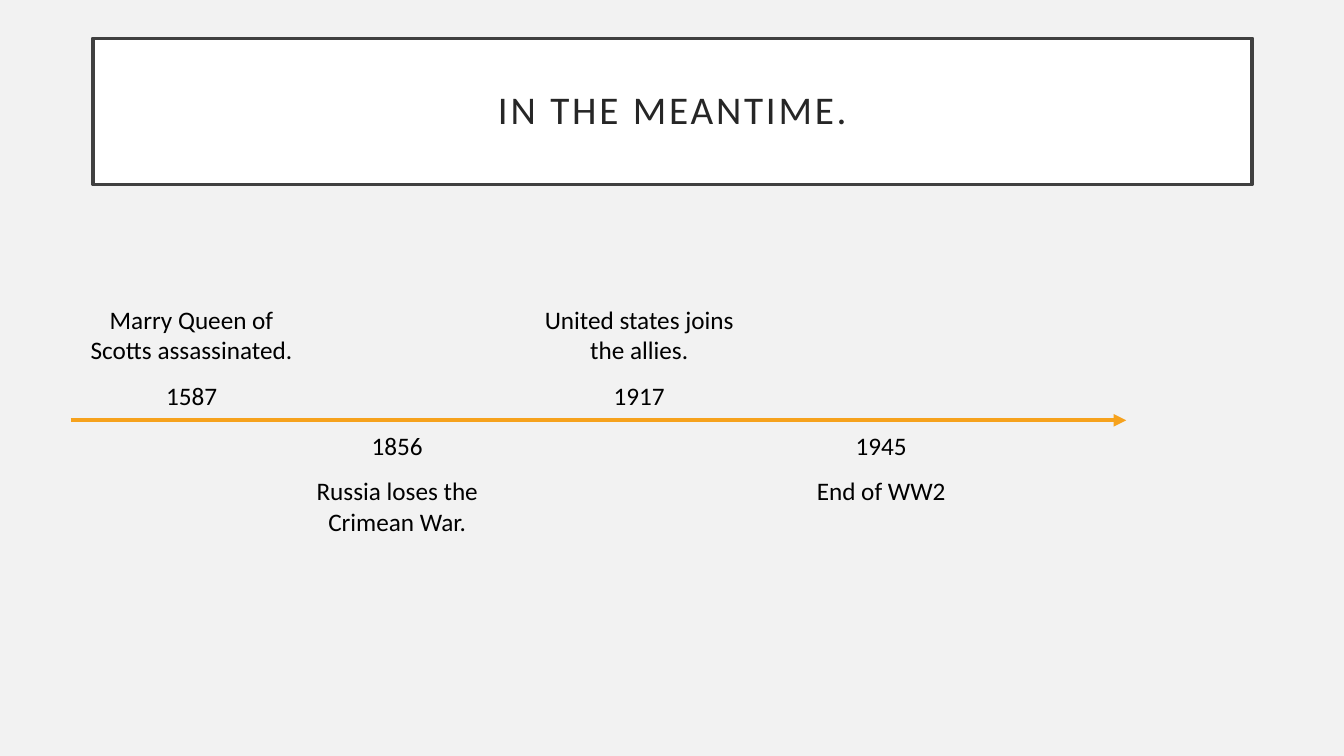
from dataclasses import dataclass
from pptx import Presentation
from pptx.dml.color import RGBColor as Color
from pptx.enum.shapes import MSO_CONNECTOR as Connector
from pptx.enum.text import MSO_ANCHOR as Anchor, MSO_AUTO_SIZE as AutoSize, PP_ALIGN as Align
from pptx.oxml.ns import qn
from pptx.util import Pt
from lxml.etree import SubElement


@dataclass(frozen=True)
class Theme:
    font: str = "Calibri"
    backdrop: Color = Color.from_string("F2F2F2")
    panel: Color = Color.from_string("FFFFFF")
    frame: Color = Color.from_string("404040")
    heading: Color = Color.from_string("262626")
    ink: Color = Color.from_string("000000")
    accent: Color = Color.from_string("F6A21D")
    title_size: int = 28
    body_size: int = 18


theme = Theme()
PX = 9144


def write(box, text, size=theme.body_size, color=theme.ink, anchor=Anchor.TOP,
          autosize=AutoSize.SHAPE_TO_FIT_TEXT, line_spacing=None, tracking=None, inset=None):
    frame = box.text_frame
    frame.word_wrap = True
    frame.auto_size = autosize
    frame.vertical_anchor = anchor
    if inset is not None:
        frame.margin_left = frame.margin_right = inset * PX
        frame.margin_top = frame.margin_bottom = inset * PX
    para = frame.paragraphs[0]
    para.alignment = Align.CENTER
    para.line_spacing = line_spacing
    span = para.add_run()
    span.text = text
    span.font.name = theme.font
    span.font.size = Pt(size)
    span.font.color.rgb = color
    if tracking:
        span.font._element.set("spc", str(tracking * 100))


deck = Presentation()
deck.slide_width, deck.slide_height = 1333 * PX, 750 * PX
page = deck.slides.add_slide(deck.slide_layouts[5])
page.background.fill.solid()
page.background.fill.fore_color.rgb = theme.backdrop

title = page.shapes.title
title.left, title.top, title.width, title.height = 92 * PX, 38 * PX, 1150 * PX, 145 * PX
title.fill.solid()
title.fill.fore_color.rgb = theme.panel
title.line.color.rgb = theme.frame
title.line.width = Pt(2.5)
write(title, "IN THE MEANTIME.", size=theme.title_size, color=theme.heading, anchor=Anchor.MIDDLE,
      autosize=AutoSize.NONE, line_spacing=0.9, tracking=2, inset=20)

axis = page.shapes.add_connector(Connector.STRAIGHT, 70 * PX, 417 * PX, 1117 * PX, 417 * PX)
axis.line.color.rgb = theme.accent
axis.line.width = Pt(3)
axis_properties = axis._element.spPr
SubElement(axis_properties.find(qn("a:ln")), qn("a:tailEnd"), type="triangle")
SubElement(axis_properties, qn("a:effectLst"))

EVENT_WIDTH, YEAR_WIDTH, YEAR_HEIGHT = 240, 72, 40
ABOVE = {"event": 297, "year": 372}
BELOW = {"event": 467, "year": 422}
events = [
    (190, ABOVE, 71, "Marry Queen of Scotts assassinated.", "1587"),
    (394, BELOW, 71, "Russia loses the Crimean War.", "1856"),
    (634, ABOVE, 71, "United states joins the allies.", "1917"),
    (874, BELOW, 40, "End of WW2", "1945"),
]
for center, tops, event_height, event, year in events:
    for text, top, width, height in [
        (event, tops["event"], EVENT_WIDTH, event_height),
        (year, tops["year"], YEAR_WIDTH, YEAR_HEIGHT),
    ]:
        left = center - width // 2
        box = page.shapes.add_textbox(left * PX, top * PX, width * PX, height * PX)
        write(box, text)

deck.save("out.pptx")
